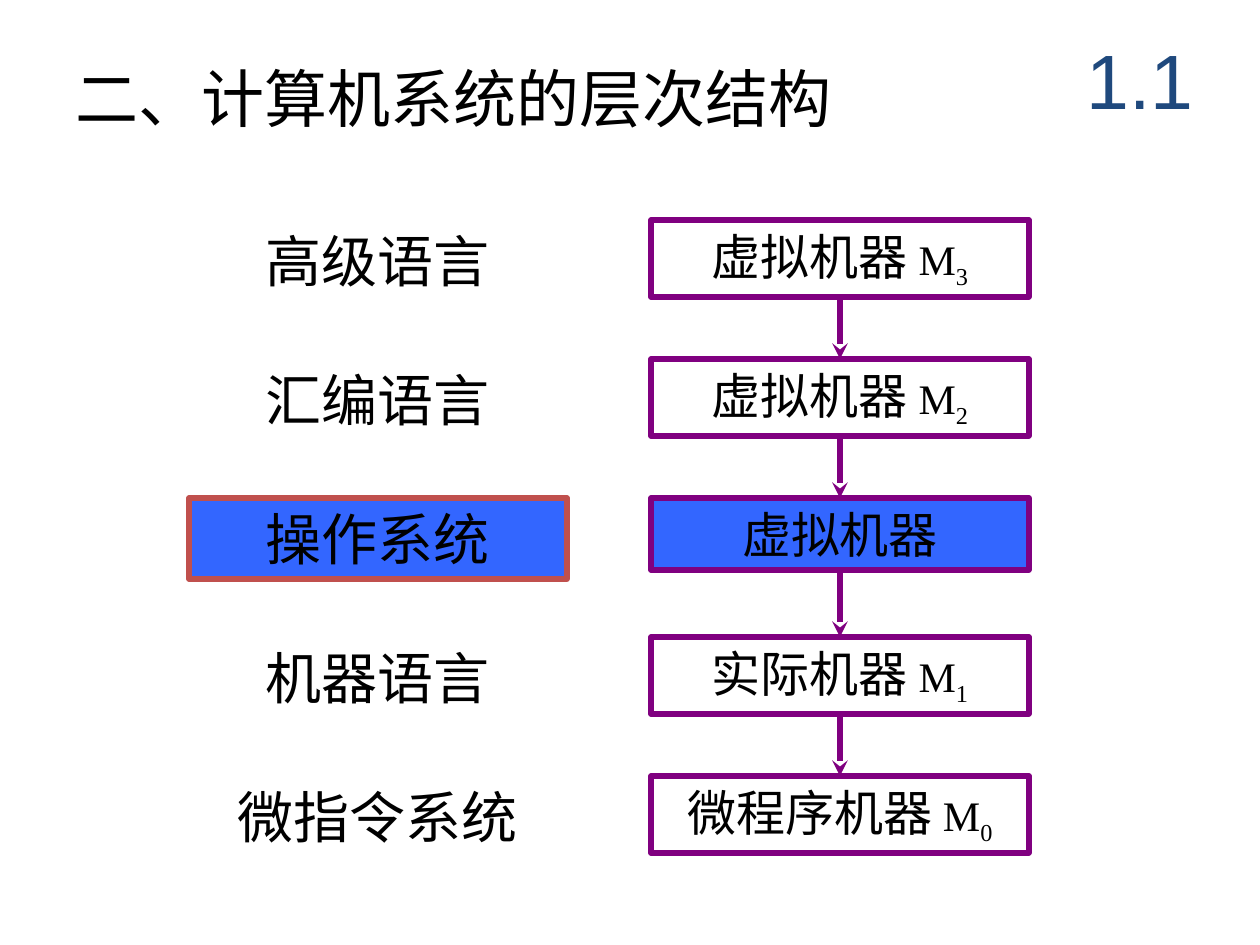
import pptx
import pptx.util
import pptx.dml.color
import pptx.enum.shapes
import pptx.enum.text
import pptx.oxml
import pptx.oxml.ns

SCALE = 914400 / 126
THEME = {
    "ink": "000000", "mark": "1F497D", "edge": "800080", "rim": "C0504D", "fill": "3366FF",
    "title": 36, "label": 32, "box": 28, "code": 24, "page": 44, "line": 3,
    "body": "Calibri", "serif": "Times New Roman", "sans": "Arial",
}
ALIGN = pptx.enum.text.PP_ALIGN
ANCHOR = pptx.enum.text.MSO_ANCHOR
RECT = pptx.enum.shapes.MSO_SHAPE.RECTANGLE


def px(*nums):
    return [round(num * SCALE) for num in nums]


def write(shape, text, size="box", font="body", color="ink",
          align=ALIGN.CENTER, anchor=ANCHOR.TOP, base=None):
    frame = shape.text_frame
    frame.word_wrap = True
    frame.vertical_anchor = anchor
    para = frame.paragraphs[0]
    para.alignment = align
    run = para.add_run()
    run.text = text
    run.font.size = pptx.util.Pt(THEME[size])
    run.font.name = THEME[font]
    run.font.color.rgb = pptx.dml.color.RGBColor.from_string(THEME[color])
    if base:
        run.font._element.set("baseline", str(base))


deck = pptx.Presentation()
deck.slide_width, deck.slide_height = px(1260, 945)
slide = deck.slides.add_slide(deck.slide_layouts[6])
shapes = slide.shapes

title = shapes.add_textbox(*px(63, 53, 1071, 126))
write(title, "二、计算机系统的层次结构", size="title", font="serif", align=ALIGN.LEFT)

LEFT, RIGHT, WIDE, TOP, STEP = 189, 651, 378, 220, 139
rows = [
    ("高级语言", "虚拟机器", "3"),
    ("汇编语言", "虚拟机器", "2"),
    ("操作系统", "虚拟机器", ""),
    ("机器语言", "实际机器", "1"),
    ("微指令系统", "微程序机器", "0"),
]

for i, (label, name, level) in enumerate(rows):
    top = TOP + i * STEP
    high = 77 if level else 72

    if level:
        left = shapes.add_textbox(*px(LEFT, top, WIDE, 81))
    else:
        left = shapes.add_shape(RECT, *px(LEFT, top, WIDE, 81))
    box = shapes.add_shape(RECT, *px(RIGHT, top, WIDE, high))

    for shape, edge in ((left, "rim"), (box, "edge")):
        if shape is left and level:
            continue
        shape.shadow.inherit = False
        shape.line.color.rgb = pptx.dml.color.RGBColor.from_string(THEME[edge])
        shape.line.width = pptx.util.Pt(THEME["line"])
        if level:
            shape.fill.background()
        else:
            shape.fill.solid()
            shape.fill.fore_color.rgb = pptx.dml.color.RGBColor.from_string(THEME["fill"])

    write(left, label, size="label")
    write(box, name + (" " if level else ""))
    if level:
        write(box, "M", size="code", font="serif")
        write(box, level, size="code", font="serif", base=-25000)

    if i < len(rows) - 1:
        mid = RIGHT + WIDE // 2
        arrow = shapes.add_connector(
            pptx.enum.shapes.MSO_CONNECTOR.STRAIGHT, *px(mid, top + high, mid, top + STEP))
        arrow.line.color.rgb = pptx.dml.color.RGBColor.from_string(THEME["edge"])
        arrow.line.width = pptx.util.Pt(THEME["line"])
        tail = pptx.oxml.parse_xml(
            f'<a:tailEnd {pptx.oxml.ns.nsdecls("a")} type="stealth"/>')
        arrow.line._get_or_add_ln().append(tail)
        bare = pptx.oxml.parse_xml(f'<a:effectLst {pptx.oxml.ns.nsdecls("a")}/>')
        arrow._element.spPr.append(bare)

page = shapes.add_textbox(*px(1061, 21, 158, 116))
write(page, "1.1", size="page", font="sans", color="mark", anchor=ANCHOR.MIDDLE)

deck.save("out.pptx")
